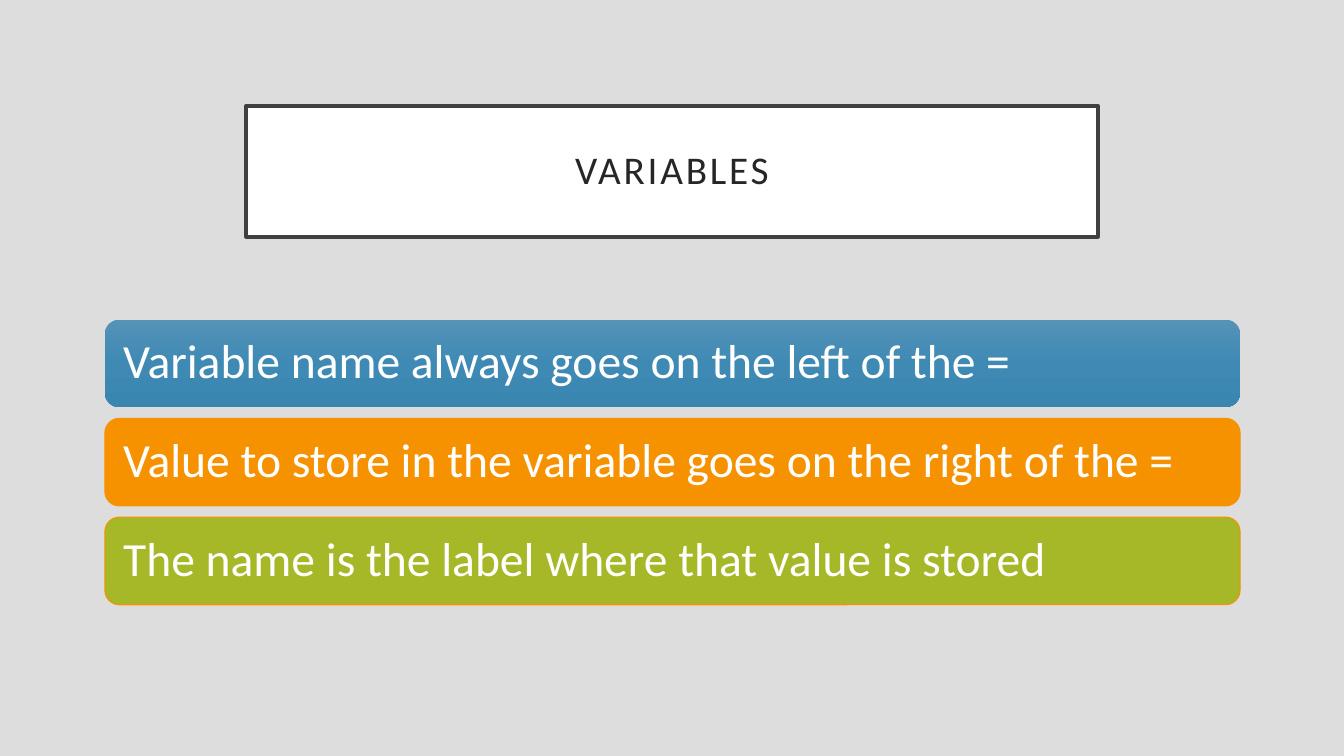
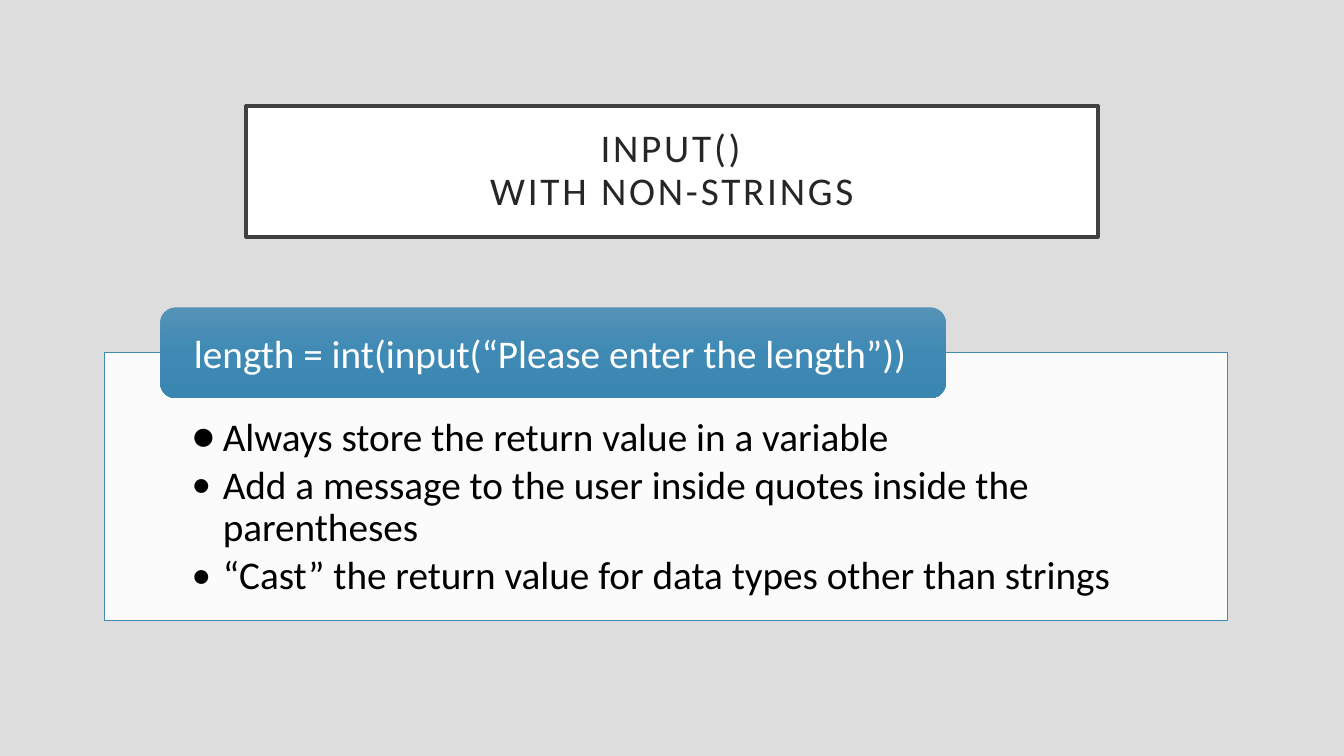
from copy import deepcopy

from lxml.etree import SubElement
from pptx import Presentation
from pptx.dml.color import RGBColor
from pptx.enum.shapes import MSO_SHAPE
from pptx.enum.text import MSO_ANCHOR, MSO_AUTO_SIZE, PP_ALIGN
from pptx.oxml.ns import qn
from pptx.util import Inches, Pt

FONT = "Calibri"
BACKGROUND = "DDDDDD"
WHITE = "FFFFFF"
BLACK = "000000"
TITLE_TEXT = "262626"
TITLE_LINE = "404040"
BLUE_LINE = "418AB3"
ORANGE = "F69200"
GREEN = "A6B727"
BLUE_GRADIENT = ((0, "5592B7"), (50, "3F8AB5"), (100, "3986B1"))
TITLE_ONLY = 5


def set_fill(fill, color):
    fill.solid()
    fill.fore_color.rgb = RGBColor.from_string(color)


def set_gradient(shape, stops):
    """Fill the shape from top to bottom with (percent, colour) stops."""
    shape.fill.gradient()
    shape.fill.gradient_angle = 270
    stop_list = shape._element.spPr.find(qn("a:gradFill")).find(qn("a:gsLst"))
    for old_stop in list(stop_list):
        stop_list.remove(old_stop)
    for percent, color in stops:
        stop = SubElement(stop_list, qn("a:gs"), pos=str(percent * 1000))
        SubElement(stop, qn("a:srgbClr"), val=color)


def set_line(shape, color, width):
    if color is None:
        shape.line.fill.background()
        return
    set_fill(shape.line.fill, color)
    shape.line.width = Pt(width)


def set_opacity(shape, percent):
    color = shape._element.spPr.find(qn("a:solidFill"))[0]
    SubElement(color, qn("a:alpha"), val=str(percent * 1000))


def set_margins(text_frame, left, top, right, bottom):
    text_frame.margin_left = Inches(left)
    text_frame.margin_top = Inches(top)
    text_frame.margin_right = Inches(right)
    text_frame.margin_bottom = Inches(bottom)


def set_bullet(paragraph, character, indent):
    properties = paragraph._p.get_or_add_pPr()
    properties.set("marL", str(Inches(indent)))
    properties.set("indent", str(-Inches(indent)))
    SubElement(properties, qn("a:buFont"), typeface=FONT)
    SubElement(properties, qn("a:buChar"), char=character)


def format_paragraph(paragraph, size, color, align=PP_ALIGN.LEFT, spacing=0.9):
    paragraph.alignment = align
    paragraph.line_spacing = spacing
    for run in paragraph.runs:
        run.font.name = FONT
        run.font.size = Pt(size)
        run.font.color.rgb = RGBColor.from_string(color)


def add_titled_slide(presentation, title_text):
    slide = presentation.slides.add_slide(presentation.slide_layouts[TITLE_ONLY])
    title = slide.shapes.title
    title.left, title.top = Inches(2.44), Inches(1.05)
    title.width, title.height = Inches(8.45), Inches(1.3)
    set_fill(title.fill, WHITE)
    set_line(title, TITLE_LINE, 2.5)

    text_frame = title.text_frame
    text_frame.text = title_text
    text_frame.auto_size = MSO_AUTO_SIZE.NONE
    text_frame.vertical_anchor = MSO_ANCHOR.MIDDLE
    set_margins(text_frame, 0.2, 0.2, 0.2, 0.2)
    paragraph = text_frame.paragraphs[0]
    format_paragraph(paragraph, 28, TITLE_TEXT, PP_ALIGN.CENTER)
    for run in paragraph.runs:
        run._r.get_or_add_rPr().set("spc", "200")
    # Line breaks need the run size too, or they stretch their line.
    for line_break in paragraph._p.findall(qn("a:br")):
        line_break.append(deepcopy(paragraph.runs[0]._r.rPr))
    return slide


def add_box(slide, preset, left, top, width, height, fill, line=None, line_width=0.75):
    """Add a shape whose fill is one colour or a series of gradient stops."""
    shape = slide.shapes.add_shape(
        preset, Inches(left), Inches(top), Inches(width), Inches(height))
    shape.shadow.inherit = False
    if isinstance(fill, str):
        set_fill(shape.fill, fill)
    else:
        set_gradient(shape, fill)
    set_line(shape, line, line_width)
    shape.text_frame.word_wrap = True
    return shape


def add_label(slide, text, size, margins, spacing, *box):
    """Add a rounded box with one line of white text."""
    shape = add_box(slide, MSO_SHAPE.ROUNDED_RECTANGLE, *box)
    text_frame = shape.text_frame
    text_frame.text = text
    text_frame.vertical_anchor = MSO_ANCHOR.MIDDLE
    set_margins(text_frame, *margins)
    format_paragraph(text_frame.paragraphs[0], size, WHITE, spacing=spacing)


def add_bullet_panel(slide, bullets, left, top, width, height):
    panel = add_box(slide, MSO_SHAPE.RECTANGLE, left, top, width, height,
                    WHITE, BLUE_LINE, 0.5)
    set_opacity(panel, 90)
    text_frame = panel.text_frame
    text_frame.text = "\n".join(text for _, text in bullets)
    text_frame.vertical_anchor = MSO_ANCHOR.TOP
    set_margins(text_frame, 0.86, 0.64, 0.86, 0.22)
    for paragraph, (character, _) in zip(text_frame.paragraphs, bullets):
        set_bullet(paragraph, character, 0.31)
        format_paragraph(paragraph, 28, BLACK)
        paragraph.space_after = Pt(4.2)


def add_variables_slide(presentation):
    slide = add_titled_slide(presentation, "VARIABLES")
    bars = (
        ("Variable name always goes on the left of the =", BLUE_GRADIENT, None),
        ("Value to store in the variable goes on the right of the =", ORANGE, ORANGE),
        ("The name is the label where that value is stored", GREEN, ORANGE),
    )
    height, gap = 0.87, 0.11
    for index, (text, fill, line) in enumerate(bars):
        top = 3.17 + index * (height + gap)
        add_label(slide, text, 34, (0.14, 0.14, 0.14, 0.14), 0.9,
                  1.04, top, 11.26, height, fill, line)


def add_input_slide(presentation):
    slide = add_titled_slide(presentation, "INPUT()\vWITH NON-STRINGS")
    bullets = (
        ("●", "Always store the return value in a variable"),
        ("•", "Add a message to the user inside quotes inside the parentheses"),
        ("•", "“Cast” the return value for data types other than strings"),
    )
    add_bullet_panel(slide, bullets, 1.04, 3.5, 11.13, 2.65)
    add_label(slide, "length = int(input(“Please enter the length”))", 28,
              (0.29, 0, 0.29, 0), 1.0, 1.59, 3.05, 7.79, 0.9, BLUE_GRADIENT)


def main():
    presentation = Presentation()
    presentation.slide_width = Inches(13.33)
    presentation.slide_height = Inches(7.5)
    set_fill(presentation.slide_master.background.fill, BACKGROUND)
    add_variables_slide(presentation)
    add_input_slide(presentation)
    presentation.save("out.pptx")


if __name__ == "__main__":
    main()
